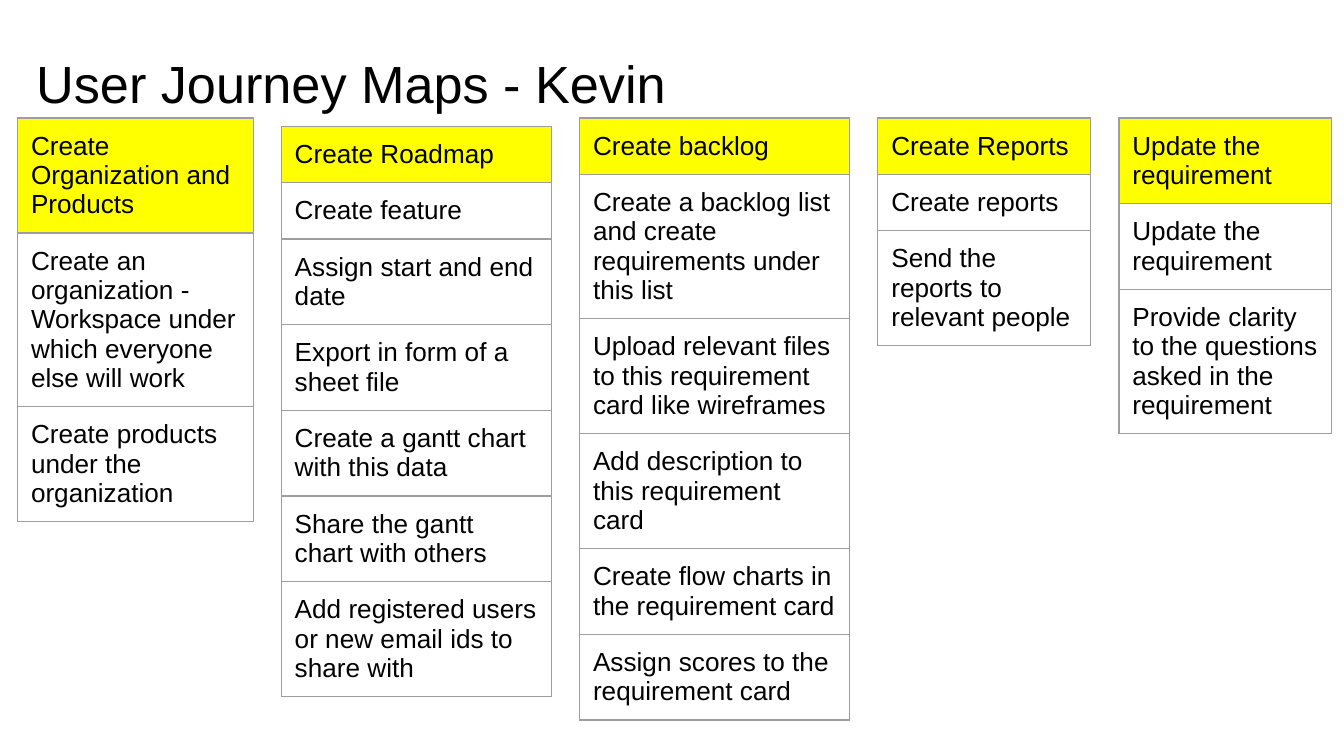
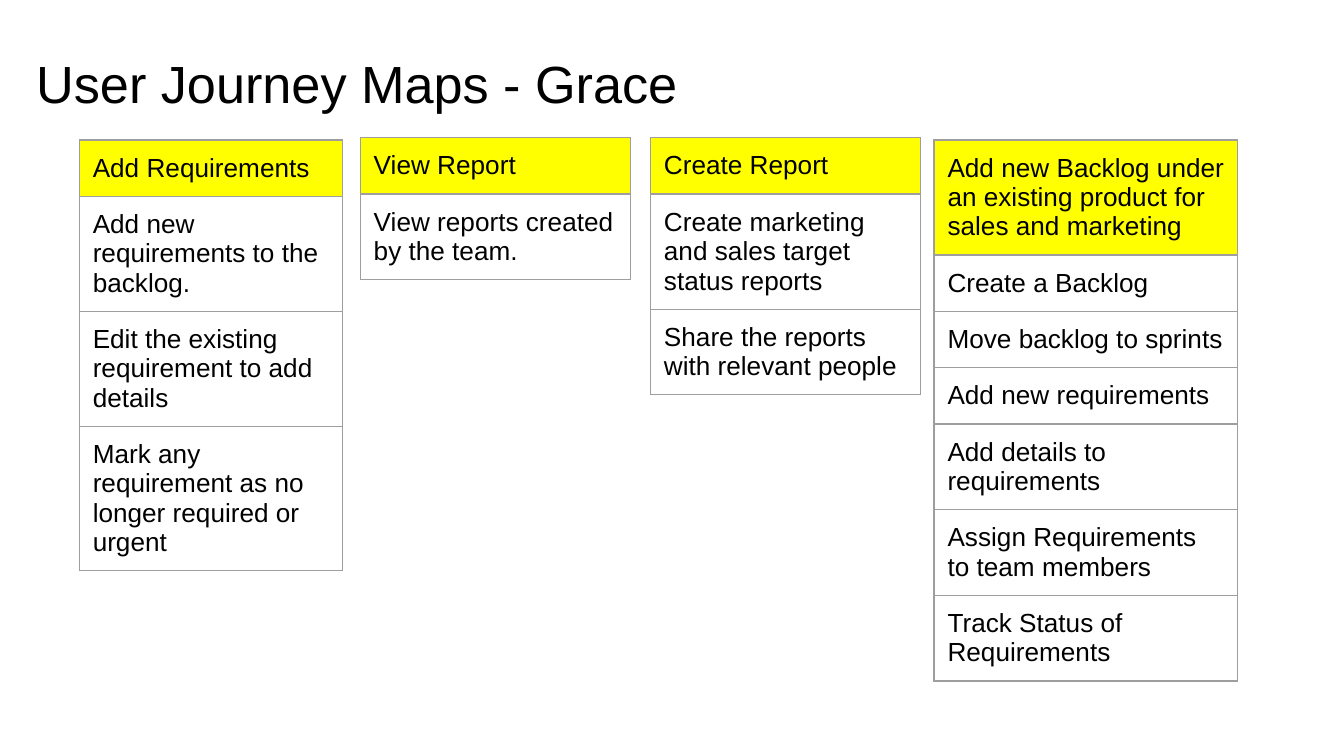
from lxml import etree
from pptx import Presentation
from pptx.dml.color import RGBColor
from pptx.enum.text import MSO_ANCHOR, PP_ALIGN
from pptx.oxml.ns import qn
from pptx.util import Pt

LEFT, TOP = PP_ALIGN.LEFT, MSO_ANCHOR.TOP
BLACK = RGBColor(0x00, 0x00, 0x00)
YELLOW = RGBColor(0xFF, 0xFF, 0x00)
GREY = RGBColor(0x9E, 0x9E, 0x9E)
FONT = "Arial"
TITLE_ONLY = 5
PAD = Pt(7.2)
ROW_HEIGHT = 30
KEVIN_GAP = 15.1

# Each stage: gap to its left, top, width, heading, steps
KEVIN = [
    (9.4, 63.2, 126.2, "Create Organization and Products", [
        "Create an organization - Workspace under which everyone else will work",
        "Create products under the organization",
    ]),
    (KEVIN_GAP, 67.7, 144.7, "Create Roadmap", [
        "Create feature",
        "Assign start and end date",
        "Export in form of a sheet file",
        "Create a gantt chart with this data",
        "Share the gantt chart with others",
        "Add registered users or new email ids to share with",
    ]),
    (KEVIN_GAP, 63.2, 144.7, "Create backlog", [
        "Create a backlog list and create requirements under this list",
        "Upload relevant files to this requirement card like wireframes",
        "Add description to this requirement card",
        "Create flow charts in the requirement card",
        "Assign scores to the requirement card",
    ]),
    (KEVIN_GAP, 63.2, 114, "Create Reports", [
        "Create reports",
        "Send the reports to relevant people",
    ]),
    (KEVIN_GAP, 63.2, 114, "Update the requirement", [
        "Update the requirement",
        "Provide clarity to the questions asked in the requirement",
    ]),
]

GRACE = [
    (42.5, 75, 141.2, "Add Requirements", [
        "Add new requirements to the backlog.",
        "Edit the existing requirement to add details",
        "Mark any requirement as no longer required or urgent",
    ]),
    (9.3, 73.8, 144.7, "View Report", [
        "View reports created by the team.",
    ]),
    (10.8, 73.8, 144.7, "Create Report", [
        "Create marketing and sales target status reports",
        "Share the reports with relevant people",
    ]),
    (7.2, 75, 162.7, "Add new Backlog under an existing product for sales and marketing", [
        "Create a Backlog",
        "Move backlog to sprints",
        "Add new requirements",
        "Add details to requirements",
        "Assign Requirements to team members",
        "Track Status of Requirements",
    ]),
]


def set_text(tf, text, size):
    tf.text = text
    p = tf.paragraphs[0]
    p.alignment = LEFT
    font = p.runs[0].font
    font.name, font.size = FONT, Pt(size)
    font.color.rgb = BLACK


def add_title(s, text):
    title = s.shapes.title
    title.left, title.top = Pt(12.2), Pt(17.3)
    title.width, title.height = Pt(671), Pt(45.4)
    tf = title.text_frame
    tf.word_wrap = True
    tf.vertical_anchor = TOP
    tf.margin_left = tf.margin_right = PAD
    tf.margin_top, tf.margin_bottom = Pt(10.4), 0
    set_text(tf, text, 28)


def add_borders(cell):
    tcPr = cell._tc.get_or_add_tcPr()
    for i, side in enumerate(("a:lnL", "a:lnR", "a:lnT", "a:lnB")):
        ln = etree.Element(qn(side), w=str(Pt(0.75)))
        fill = etree.SubElement(ln, qn("a:solidFill"))
        etree.SubElement(fill, qn("a:srgbClr"), val=str(GREY))
        tcPr.insert(i, ln)


def add_stage(s, left, top, width, heading, steps):
    """Add a one-column table with a yellow heading above its steps."""
    texts = [heading, *steps]
    table = s.shapes.add_table(len(texts), 1, Pt(left), Pt(top), Pt(width),
                               Pt(ROW_HEIGHT * len(texts))).table
    table.first_row = table.horz_banding = False
    for i, text in enumerate(texts):
        cell = table.cell(i, 0)
        cell.margin_left = cell.margin_right = PAD
        cell.margin_top = cell.margin_bottom = PAD
        cell.vertical_anchor = TOP
        if i == 0:
            cell.fill.solid()
            cell.fill.fore_color.rgb = YELLOW
        else:
            cell.fill.background()
        add_borders(cell)
        set_text(cell.text_frame, text, 14)


def add_journey(prs, name, stages):
    s = prs.slides.add_slide(prs.slide_layouts[TITLE_ONLY])
    add_title(s, f"User Journey Maps - {name}")
    left = 0
    for gap, top, width, heading, steps in stages:
        left += gap
        add_stage(s, left, top, width, heading, steps)
        left += width


def main():
    prs = Presentation()
    prs.slide_width, prs.slide_height = Pt(720), Pt(405)
    add_journey(prs, "Kevin", KEVIN)
    add_journey(prs, "Grace", GRACE)
    prs.save("out.pptx")


if __name__ == "__main__":
    main()
